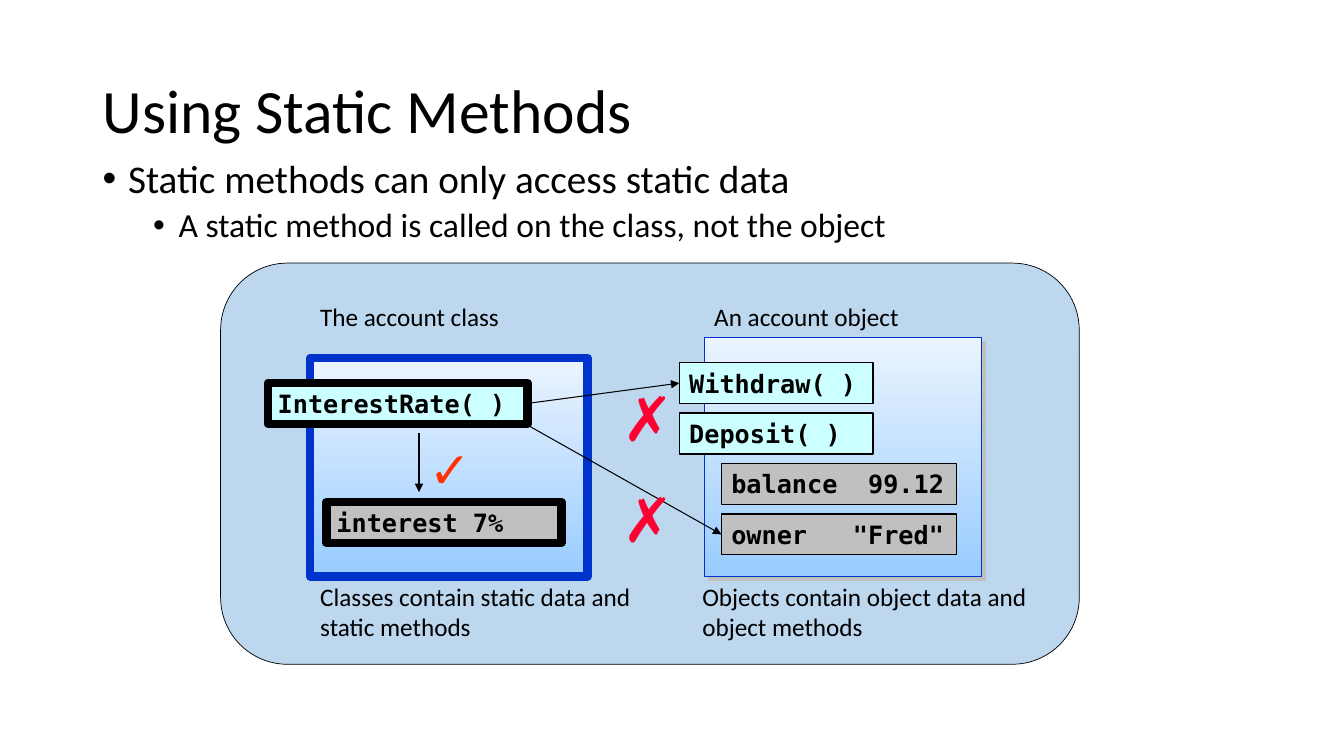
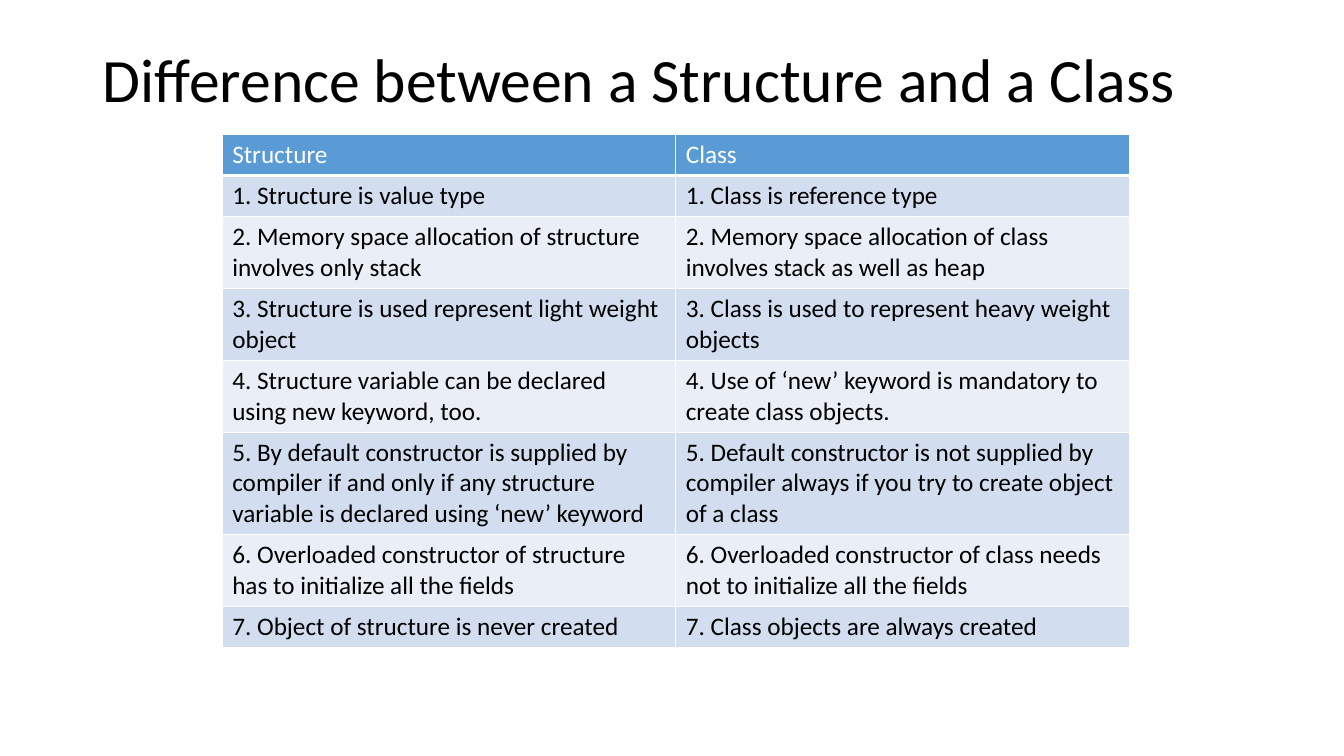
from lxml import etree
from pptx import Presentation
from pptx.dml.color import RGBColor
from pptx.enum.shapes import MSO_CONNECTOR, MSO_SHAPE
from pptx.enum.text import MSO_ANCHOR, PP_ALIGN
from pptx.oxml.ns import qn
from pptx.util import Cm, Pt

ROUNDED, RECT = MSO_SHAPE.ROUNDED_RECTANGLE, MSO_SHAPE.RECTANGLE
STRAIGHT = MSO_CONNECTOR.STRAIGHT
TOP, MIDDLE = MSO_ANCHOR.TOP, MSO_ANCHOR.MIDDLE
LEFT = PP_ALIGN.LEFT
LEFT_SIDE, RIGHT_SIDE = 1, 3

BLACK = RGBColor(0x00, 0x00, 0x00)
WHITE = RGBColor(0xFF, 0xFF, 0xFF)
PANEL_BLUE = RGBColor(0xBD, 0xD7, 0xEE)
FRAME_BLUE = RGBColor(0x00, 0x33, 0xCC)
GRADIENT_TOP = RGBColor(0xEB, 0xF4, 0xFF)
GRADIENT_BOTTOM = RGBColor(0x99, 0xCC, 0xFF)
METHOD_CYAN = RGBColor(0xCC, 0xFF, 0xFF)
GREY = RGBColor(0xC0, 0xC0, 0xC0)
CROSS_RED = RGBColor(0xFF, 0x00, 0x33)
CHECK_RED = RGBColor(0xFF, 0x33, 0x00)
HEADER_BLUE = RGBColor(0x5B, 0x9B, 0xD5)
BAND_DARK = RGBColor(0xD2, 0xDE, 0xEF)
BAND_LIGHT = RGBColor(0xEA, 0xEF, 0xF7)

BODY_FONT, CODE_FONT, MARK_FONT = "Calibri", "DejaVu Sans Mono", "Arial"

COMPARISON = [
    # lines of text in the row, structure, class
    (1, "Structure", "Class"),
    (1, "1. Structure is value type", "1. Class is reference type"),
    (2, "2. Memory space allocation of structure involves only stack",
     "2. Memory space allocation of class involves stack as well as heap"),
    (2, "3. Structure is used represent light weight object",
     "3. Class is used to represent heavy weight objects"),
    (2, "4. Structure variable can be declared using new keyword, too.",
     "4. Use of ‘new’ keyword is mandatory to create class objects."),
    (3, "5. By default constructor is supplied by compiler if and only if any "
        "structure variable is declared using ‘new’ keyword",
     "5. Default constructor is not supplied by compiler always if you try to "
     "create object of a class"),
    (2, "6. Overloaded constructor of structure has to initialize all the fields",
     "6. Overloaded constructor of class needs not to initialize all the fields"),
    (1, "7. Object of structure is never created",
     "7. Class objects are always created"),
]


# Shared helpers
def add_run(paragraph, text, size, color=BLACK, font=BODY_FONT, bold=False):
    run = paragraph.add_run()
    run.text = text
    run.font.name = font
    run.font.size = Pt(size)
    run.font.bold = bold
    run.font.color.rgb = color


def add_text(slide, left, top, width, height, lines, size, wrap=False,
             anchor=TOP, spacing=None, **style):
    frame = slide.shapes.add_textbox(left, top, width, height).text_frame
    frame.word_wrap = wrap
    frame.vertical_anchor = anchor
    for number, line in enumerate(lines):
        paragraph = frame.add_paragraph() if number else frame.paragraphs[0]
        paragraph.line_spacing = spacing
        add_run(paragraph, line, size, **style)


def add_title(slide, text, height):
    add_text(slide, Cm(2.34), Cm(1.02), Cm(29.21), height, [text], 44,
             wrap=True, anchor=MIDDLE, spacing=0.9)


def add_box(slide, kind, left, top, width, height, fill, line, weight):
    """Draw a box; a pair of fill colours makes a downward gradient."""
    box = slide.shapes.add_shape(kind, left, top, width, height)
    box.shadow.inherit = False
    if isinstance(fill, list):
        box.fill.gradient()
        box.fill.gradient_angle = 270
        for stop, color in zip(box.fill.gradient_stops, fill):
            stop.color.rgb = color
    else:
        box.fill.solid()
        box.fill.fore_color.rgb = fill
    box.line.color.rgb = line
    box.line.width = Pt(weight)
    return box


def add_drop_shadow(box, color, distance):
    effects = box._element.spPr.find(qn("a:effectLst"))
    shadow = etree.SubElement(effects, qn("a:outerShdw"), dist=str(distance),
                              dir="2700000", algn="ctr", rotWithShape="0")
    etree.SubElement(shadow, qn("a:srgbClr"), val=str(color))


def add_member(slide, left, top, width, text, fill, weight, tab=None):
    """Draw a method or field of a class as a code box."""
    member = add_box(slide, RECT, left, top, width, Cm(1.03), fill, BLACK, weight)
    frame = member.text_frame
    frame.word_wrap = True
    paragraph = frame.paragraphs[0]
    paragraph.alignment = LEFT
    if tab:
        stops = etree.SubElement(paragraph._p.get_or_add_pPr(), qn("a:tabLst"))
        etree.SubElement(stops, qn("a:tab"), pos=str(tab), algn="r")
    add_run(paragraph, text, 18, font=CODE_FONT, bold=True)
    return member


def add_arrow(slide, x1, y1, x2, y2):
    arrow = slide.shapes.add_connector(STRAIGHT, x1, y1, x2, y2)
    arrow.line.color.rgb = BLACK
    arrow.line.width = Pt(0.75)
    etree.SubElement(arrow.line._get_or_add_ln(), qn("a:tailEnd"), type="triangle")
    etree.SubElement(arrow._element.spPr, qn("a:effectLst"))
    return arrow


# Static methods slide
def add_bullets(slide, left, top, width, height):
    frame = slide.shapes.add_textbox(left, top, width, height).text_frame
    frame.word_wrap = True
    bullets = [
        ("Static methods can only access static data", 28, Cm(0.64), 0),
        ("A static method is called on the class, not the object", 24, Cm(1.91), 5),
    ]
    for number, (text, size, margin, before) in enumerate(bullets):
        paragraph = frame.add_paragraph() if number else frame.paragraphs[0]
        paragraph.level = number
        paragraph.line_spacing = 0.9
        paragraph.space_before = Pt(before)
        properties = paragraph._p.get_or_add_pPr()
        properties.set("marL", str(margin))
        properties.set("indent", str(-Cm(0.64)))
        etree.SubElement(properties, qn("a:buFont"), typeface="Arial")
        etree.SubElement(properties, qn("a:buChar"), char="•")
        add_run(paragraph, text, size)


def add_access_diagram(slide, left, top, width, height):
    def x(offset):
        return left + Cm(offset)

    def y(offset):
        return top + Cm(offset)

    gradient = [GRADIENT_TOP, GRADIENT_BOTTOM]
    add_box(slide, ROUNDED, left, top, width, height, PANEL_BLUE, BLACK, 0.5)

    # Account class
    add_box(slide, RECT, x(2.26), y(2.39), Cm(6.99), Cm(5.51),
            gradient, FRAME_BLUE, 6)
    interest_rate = add_member(slide, x(1.19), y(3.02), Cm(6.55),
                               "InterestRate( )", METHOD_CYAN, 6)
    add_member(slide, x(2.67), y(6.02), Cm(5.92), "interest 7%", GREY, 6)

    # Account object
    account = add_box(slide, RECT, x(12.19), y(1.88), Cm(6.99), Cm(6.02),
                      gradient, FRAME_BLUE, 0.75)
    add_drop_shadow(account, GREY, Pt(4.2))
    members = [
        ("Withdraw( )", 11.56, 4.88, METHOD_CYAN, None),
        ("Deposit( )", 11.56, 4.88, METHOD_CYAN, None),
        ("balance\t99.12", 12.62, 5.92, GREY, Cm(5.36)),
        ("owner\t\"Fred\"", 12.62, 5.92, GREY, Cm(5.36)),
    ]
    withdraw, _, _, owner = [
        add_member(slide, x(offset), y(2.51 + 1.27 * row), Cm(size), text, fill, 1, tab)
        for row, (text, offset, size, fill, tab) in enumerate(members)
    ]

    # Headings and captions
    labels = [
        (12.19, 0.84, 5.21, ["An account object"]),
        (2.26, 0.84, 5.08, ["The account class"]),
        (2.26, 7.9, 8.56, ["Classes contain static data and", "static methods"]),
        (11.89, 7.9, 8.92, ["Objects contain object data and", "object methods"]),
    ]
    for offset, drop, size, lines in labels:
        add_text(slide, x(offset), y(drop), Cm(size), Cm(1.02 * len(lines)), lines, 18)

    # Access arrows
    add_arrow(slide, x(5), y(4.29), x(5), y(5.77))
    to_withdraw = add_arrow(slide, x(7.75), y(3.54), x(11.56), y(3.02))
    to_withdraw.begin_connect(interest_rate, RIGHT_SIDE)
    to_withdraw.end_connect(withdraw, LEFT_SIDE)
    to_owner = add_arrow(slide, x(7.75), y(4.09), x(12.62), y(6.83))
    to_owner.end_connect(owner, LEFT_SIDE)

    # Allowed and forbidden marks
    marks = [
        ("✗", 9.87, 5.36, 44, CROSS_RED),
        ("✗", 9.87, 2.82, 44, CROSS_RED),
        ("✓", 5, 4.29, 36, CHECK_RED),
    ]
    for mark, offset, drop, size, color in marks:
        add_text(slide, x(offset), y(drop), Cm(1.52), Cm(size * 0.05), [mark],
                 size, color=color, font=MARK_FONT)


def build_static_methods(slide):
    add_title(slide, "Using Static Methods", Cm(3.68))
    add_bullets(slide, Cm(2.34), Cm(3.89), Cm(29.21), Cm(2.6))
    add_access_diagram(slide, Cm(5.56), Cm(6.63), Cm(21.64), Cm(10.11))


# Comparison slide
def set_borders(cell, bottom):
    properties = cell._tc.get_or_add_tcPr()
    weights = {"a:lnL": 1, "a:lnR": 1, "a:lnT": 1, "a:lnB": bottom}
    for position, (side, weight) in enumerate(weights.items()):
        line = etree.Element(qn(side), w=str(Pt(weight)))
        fill = etree.SubElement(line, qn("a:solidFill"))
        etree.SubElement(fill, qn("a:srgbClr"), val=str(WHITE))
        properties.insert(position, line)


def add_comparison(slide, left, top, width):
    heights = [Cm(0.26 + 0.775 * lines) for lines, *_ in COMPARISON]
    table = slide.shapes.add_table(len(COMPARISON), 2, left, top, width,
                                   sum(heights)).table
    for row, (_, *texts) in enumerate(COMPARISON):
        table.rows[row].height = heights[row]
        header = row == 0
        band = HEADER_BLUE if header else BAND_DARK if row % 2 else BAND_LIGHT
        for column, text in enumerate(texts):
            cell = table.cell(row, column)
            cell.fill.solid()
            cell.fill.fore_color.rgb = band
            set_borders(cell, 3 if header else 1)
            add_run(cell.text_frame.paragraphs[0], text, 18, WHITE if header else BLACK)


def build_comparison(slide):
    add_comparison(slide, Cm(5.6), Cm(3.39), Cm(22.86))
    add_title(slide, "Difference between a Structure and a Class", Cm(2.13))


def main():
    deck = Presentation()
    deck.slide_width, deck.slide_height = Cm(33.87), Cm(19.05)
    blank = deck.slide_layouts[6]
    for build in (build_static_methods, build_comparison):
        build(deck.slides.add_slide(blank))
    deck.save("out.pptx")


if __name__ == "__main__":
    main()
